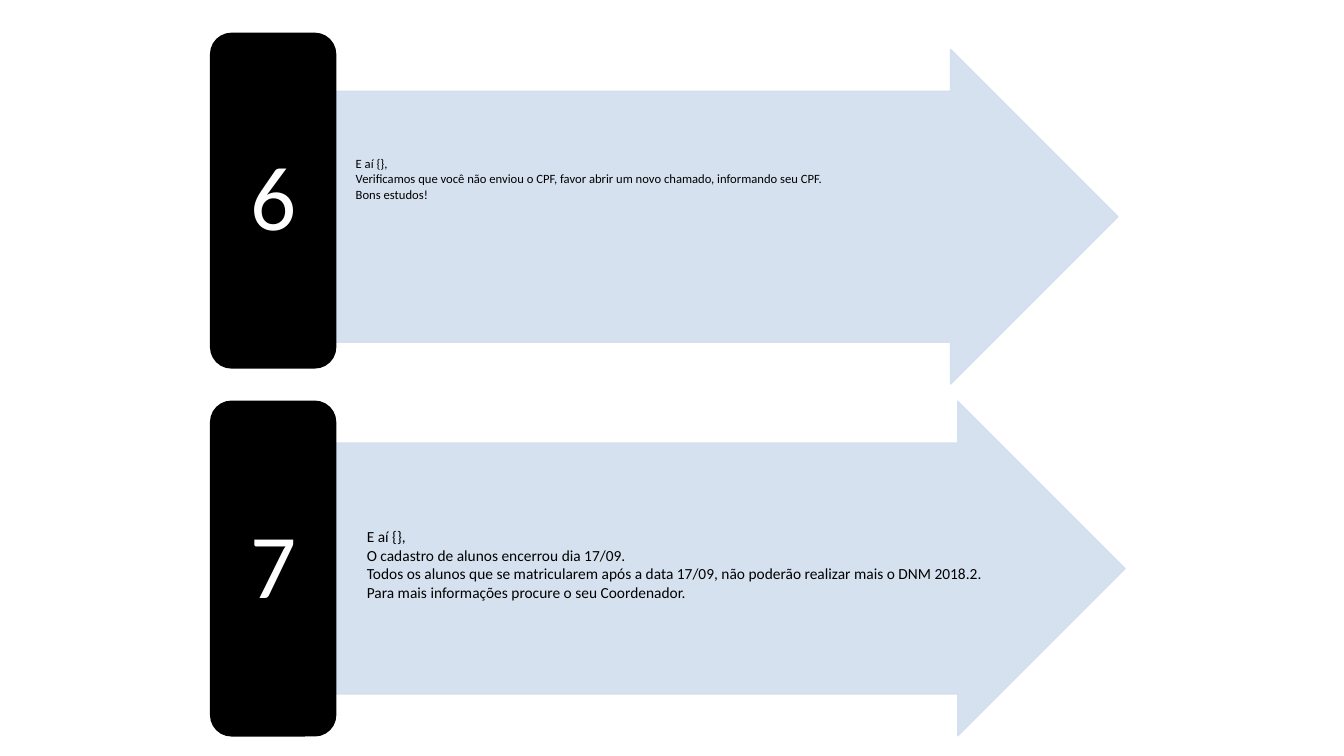
from lxml.etree import SubElement
from pptx import Presentation
from pptx.dml.color import RGBColor
from pptx.enum.shapes import MSO_SHAPE as Shape
from pptx.enum.text import MSO_ANCHOR as Anchor, MSO_AUTO_SIZE as AutoSize, PP_ALIGN as Align
from pptx.oxml.ns import qn
from pptx.util import Pt

BLACK = RGBColor(0x00, 0x00, 0x00)
WHITE = RGBColor(0xFF, 0xFF, 0xFF)
PALE_BLUE = RGBColor(0xD2, 0xDE, 0xEF)

BLOCK_HEIGHT = 239
ARROW_WIDTH = 563.8
BADGE_LEFT, BADGE_WIDTH = 150.5, 89.3

STEPS = [
    ("6", 23.8, (234.7, 35.3), (247, 108, 505.4, 40.3), 9, [
        "E aí {},",
        "Verificamos que você não enviou o CPF, favor abrir um novo chamado, informando seu CPF.",
        "Bons estudos!",
    ]),
    ("7", 286.6, (239.8, 286.6), (254.9, 373, 488.9, 60.5), 11, [
        "E aí {},",
        "O cadastro de alunos encerrou dia 17/09.",
        "Todos os alunos que se matricularem após a data 17/09, não poderão realizar mais o DNM 2018.2.",
        "Para mais informações procure o seu Coordenador.",
    ]),
]


def add_block(kind, left, top, width, color):
    block = slide.shapes.add_shape(kind, Pt(left), Pt(top), Pt(width), Pt(BLOCK_HEIGHT))
    block.shadow.inherit = False
    block.fill.solid()
    block.fill.fore_color.rgb = color
    block.line.color.rgb = color
    block.line.width = Pt(1)
    return block


def style_runs(paragraph, size, color):
    for run in paragraph.runs:
        run.font.name = "Calibri"
        run.font.size = Pt(size)
        run.font.color.rgb = color


prs = Presentation()
prs.slide_width, prs.slide_height = Pt(960), Pt(540)
slide = prs.slides.add_slide(prs.slide_layouts[6])

for number, badge_top, (arrow_left, arrow_top), message_box, message_size, lines in STEPS:
    arrow = add_block(Shape.RIGHT_ARROW, arrow_left, arrow_top, ARROW_WIDTH, PALE_BLUE)
    arrow.adjustments[0] = 0.75
    arrow.adjustments[1] = 0.5
    for color in arrow._element.spPr.iter(qn("a:srgbClr")):
        SubElement(color, qn("a:alpha"), val="90000")

    badge = add_block(Shape.ROUNDED_RECTANGLE, BADGE_LEFT, badge_top, BADGE_WIDTH, BLACK)
    frame = badge.text_frame
    frame.margin_left = frame.margin_right = Pt(19.5)
    frame.margin_top = frame.margin_bottom = Pt(10)
    frame.vertical_anchor = Anchor.MIDDLE
    frame.text = number
    digit = frame.paragraphs[0]
    digit.alignment = Align.CENTER
    digit.line_spacing = 0.9
    style_runs(digit, 65, WHITE)

    message = slide.shapes.add_textbox(*map(Pt, message_box)).text_frame
    message.word_wrap = True
    message.auto_size = AutoSize.SHAPE_TO_FIT_TEXT
    message.text = "\n".join(lines)
    for paragraph in message.paragraphs:
        style_runs(paragraph, message_size, BLACK)

prs.save("out.pptx")
